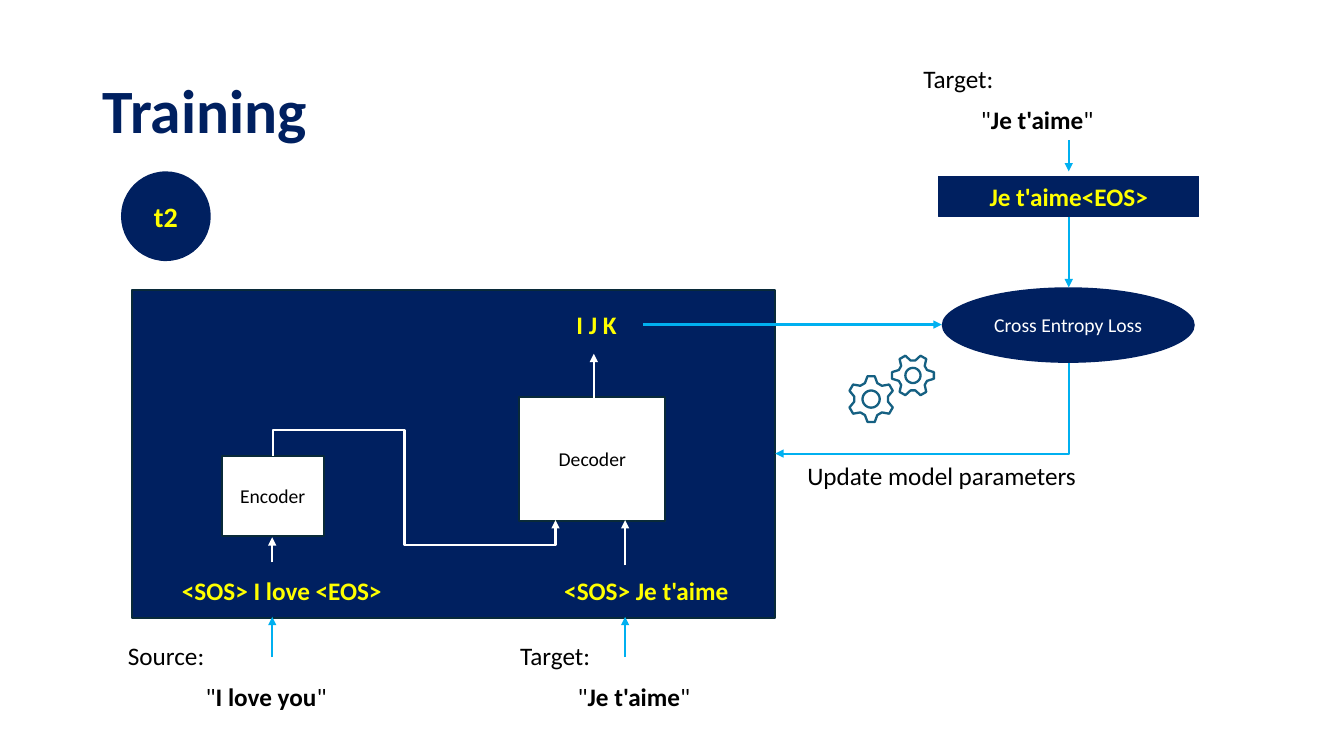
from math import cos, radians, sin

from lxml.etree import SubElement
from pptx import Presentation
from pptx.dml.color import RGBColor
from pptx.enum.shapes import MSO_CONNECTOR, MSO_SHAPE
from pptx.enum.text import MSO_ANCHOR, MSO_AUTO_SIZE, PP_ALIGN
from pptx.oxml.ns import qn
from pptx.util import Emu, Pt

FONT = "Calibri"
NAVY, EDGE, SKY, TEAL = "002060", "092A39", "00B0F0", "156082"
WHITE, BLACK, YELLOW = "FFFFFF", "000000", "FFFF00"
LABEL_HEIGHT = 40


def px(length):
    return Emu(round(length * 9144))


def color(value):
    return RGBColor.from_string(value)


def style_text(frame, size, ink, bold=False, align=PP_ALIGN.CENTER):
    paragraph = frame.paragraphs[0]
    paragraph.alignment = align
    paragraph.font.name = FONT
    paragraph.font.size = Pt(size)
    paragraph.font.bold = bold
    paragraph.font.color.rgb = color(ink)
    return paragraph


def add_box(slide, kind, box, fill, line=None, line_width=1.5):
    shape = slide.shapes.add_shape(kind, *map(px, box))
    shape.shadow.inherit = False
    shape.fill.solid()
    shape.fill.fore_color.rgb = color(fill)
    if line:
        shape.line.color.rgb = color(line)
        shape.line.width = Pt(line_width)
    else:
        shape.line.fill.background()
    return shape


def write_box(shape, text, size, ink, bold=False):
    frame = shape.text_frame
    frame.word_wrap = True
    frame.vertical_anchor = MSO_ANCHOR.MIDDLE
    frame.text = text
    style_text(frame, size, ink, bold)


def add_label(slide, left, top, width, text, ink=BLACK, bold=False, align=PP_ALIGN.CENTER):
    label = slide.shapes.add_textbox(px(left), px(top), px(width), px(LABEL_HEIGHT))
    frame = label.text_frame
    frame.word_wrap = True
    frame.text = text
    return style_text(frame, 18, ink, bold, align)


def add_arrow(slide, begin, end, ink, kind=MSO_CONNECTOR.STRAIGHT):
    arrow = slide.shapes.add_connector(kind, *map(px, (*begin, *end)))
    arrow.line.color.rgb = color(ink)
    arrow.line.width = Pt(1.5)
    SubElement(arrow.line._get_or_add_ln(), qn("a:tailEnd"), type="triangle")
    SubElement(arrow._element.spPr, qn("a:effectLst"))
    return arrow


def add_elbow(slide, begin, end, ink, preset, turn, adjustments=()):
    center_x, center_y = (begin[0] + end[0]) / 2, (begin[1] + end[1]) / 2
    across = turn * (begin[1] - center_y)
    down = -turn * (begin[0] - center_x)
    arrow = add_arrow(slide, (center_x + across, center_y + down),
                      (center_x - across, center_y - down), ink, MSO_CONNECTOR.ELBOW)
    properties = arrow._element.spPr
    properties.find(qn("a:xfrm")).set("rot", str(turn % 4 * 5400000))
    geometry = properties.find(qn("a:prstGeom"))
    geometry.set("prst", preset)
    guides = geometry.find(qn("a:avLst"))
    for number, value in enumerate(adjustments, 1):
        SubElement(guides, qn("a:gd"), name=f"adj{number}", fmla=f"val {value}")


def add_sentence(slide, left, top, caption, words, indent=57, width=193):
    add_label(slide, left, top, 154, caption, align=PP_ALIGN.LEFT)
    paragraph = add_label(slide, left + indent, top + 41, width, '"', align=PP_ALIGN.LEFT)
    run = paragraph.add_run()
    run.text = words
    run.font.bold = True
    paragraph.add_run().text = '"'


def add_gear(slide, center_x, center_y, tip, root, hub, tilt):
    def point(radius, angle):
        turn = radians(angle)
        return px(center_x + radius * sin(turn)), px(center_y - radius * cos(turn))

    profile = ((root, -21), (tip, -9), (tip, 9), (root, 21))
    teeth = [point(radius, tilt + tooth * 60 + angle)
             for tooth in range(6) for radius, angle in profile]
    ring = [point(hub, angle) for angle in range(0, 360, 10)]
    builder = slide.shapes.build_freeform(*teeth[0], scale=1.0)
    builder.add_line_segments(teeth[1:], close=True)
    builder.move_to(*ring[0])
    builder.add_line_segments(ring[1:], close=True)
    gear = builder.convert_to_shape()
    gear.shadow.inherit = False
    gear.fill.background()
    gear.line.color.rgb = color(TEAL)
    gear.line.width = Pt(1.63)


def build_header(slide, left, top):
    title = slide.shapes.title
    title.left, title.top, title.width, title.height = map(px, (left, top, 1150, 145))
    frame = title.text_frame
    frame.text = "Training"
    frame.auto_size = MSO_AUTO_SIZE.NONE
    frame.vertical_anchor = MSO_ANCHOR.MIDDLE
    style_text(frame, 44, NAVY, True, PP_ALIGN.LEFT).line_spacing = 0.9
    step = add_box(slide, MSO_SHAPE.OVAL, (left + 28, top + 130, 89, 89), NAVY)
    write_box(step, "t2", 20, YELLOW, True)


def build_model(slide, left, top, width, height):
    panel = add_box(slide, MSO_SHAPE.ROUNDED_RECTANGLE, (left, top, width, height), NAVY, EDGE)
    panel.adjustments[0] = 0
    for name, box in (("Encoder", (left + 89, top + 164, 101, 80)),
                      ("Decoder", (left + 384, top + 106, 145, 123))):
        write_box(add_box(slide, MSO_SHAPE.RECTANGLE, box, WHITE, EDGE), name, 14, BLACK)
    for x, y, label_width, tokens in ((-11, 278, 319, "<SOS> I love <EOS>"),
                                      (371, 278, 278, "<SOS> Je t'aime"),
                                      (420, 14, 87, "I J K ")):
        add_label(slide, left + x, top + y, label_width, tokens, YELLOW, True)
    for x, start, stop in ((139, 270, 245), (489, 273, 228), (458, 108, 63)):
        add_arrow(slide, (left + x, top + start), (left + x, top + stop), WHITE)
    add_elbow(slide, (left + 140, top + 164), (left + 420, top + 228), WHITE,
              "bentConnector5", -1, (-39100, 46500, 139100))


def build_inputs(slide, left, top):
    add_sentence(slide, left, top, "Source:", "I love you", 77, 175)
    add_sentence(slide, left + 389, top, "Target:", "Je t'aime")
    for x in (left + 153, left + 503):
        add_arrow(slide, (x, top + 22), (x, top - 18), SKY)


def build_loss(slide, left, top):
    axis = left + 154
    add_sentence(slide, left, top, "Target:", "Je t'aime")
    target = add_box(slide, MSO_SHAPE.RECTANGLE, (left + 25, top + 117, 258, 40),
                     NAVY, NAVY, 0.75)
    write_box(target, "Je t'aime<EOS>", 18, YELLOW, True)
    loss = add_box(slide, MSO_SHAPE.OVAL, (left + 28, top + 227, 251, 75), NAVY)
    write_box(loss, "Cross Entropy Loss", 14, WHITE)
    for start, stop in ((81, 112), (157, 227)):
        add_arrow(slide, (axis, top + start), (axis, top + stop), SKY)
    add_arrow(slide, (left - 268, top + 264), (left + 28, top + 264), SKY)
    add_elbow(slide, (axis, top + 302), (left - 137, top + 392), SKY, "bentConnector2", 1)
    add_label(slide, left - 159, top + 394, 374, "Update model parameters")
    add_gear(slide, left - 42, top + 338, 23, 17, 8.5, 0)
    add_gear(slide, left - 0.5, top + 314.5, 21, 15, 7.5, 30)


def main():
    presentation = Presentation()
    presentation.slide_width, presentation.slide_height = px(1333), px(750)
    slide = presentation.slides.add_slide(presentation.slide_layouts[5])
    build_header(slide, 92, 40)
    build_model(slide, 131, 288, 638, 325)
    build_inputs(slide, 117, 630)
    build_loss(slide, 906, 58)
    presentation.save("out.pptx")


if __name__ == "__main__":
    main()
